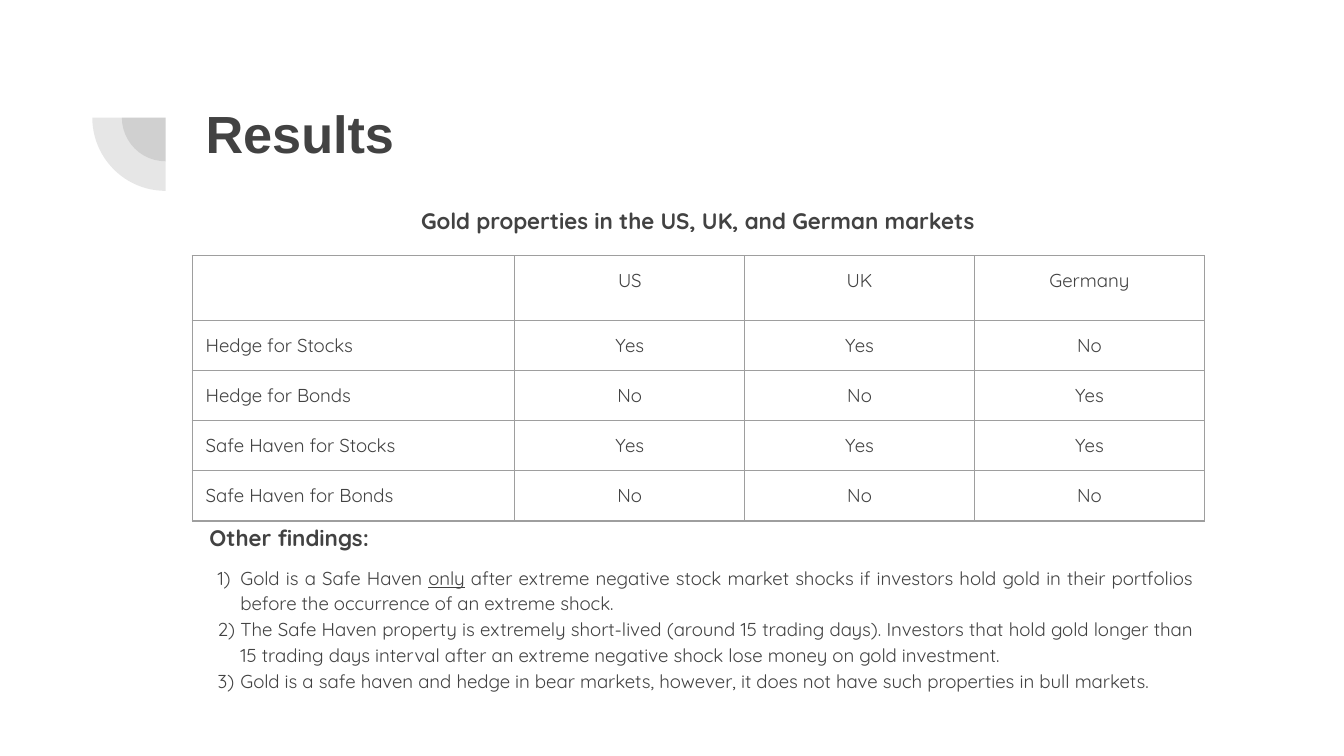
from lxml.etree import SubElement
from pptx import Presentation
from pptx.dml.color import RGBColor
from pptx.enum.shapes import MSO_SHAPE
from pptx.enum.text import MSO_AUTO_SIZE, PP_ALIGN
from pptx.oxml.ns import qn
from pptx.util import Pt

COLORS = {"ink": "424242", "border": "9E9E9E"}
BODY_FONT = "Quicksand"
INSET = 7.2

PROPERTIES = [
    ["", "US", "UK", "Germany"],
    ["Hedge for Stocks", "Yes", "Yes", "No"],
    ["Hedge for Bonds", "No", "No", "Yes"],
    ["Safe Haven for Stocks", "Yes", "Yes", "Yes"],
    ["Safe Haven for Bonds", "No", "No", "No"],
]
COLUMN_WIDTHS = [172.8] + [123.12] * 3
ROW_HEIGHTS = [34.56] + [26.8] * 4

FINDINGS = [
    [("Gold is a Safe Haven ", False), ("only", True),
     (" after extreme negative stock market shocks if investors hold gold in their "
      "portfolios before the occurrence of an extreme shock.", False)],
    [("The Safe Haven property is extremely short-lived (around 15 trading days). "
      "Investors that hold gold longer than 15 trading days interval after an extreme "
      "negative shock lose money on gold investment.", False)],
    [("Gold is a safe haven and hedge in bear markets, however, it does not have such "
      "properties in bull markets.", False)],
]


def add_run(paragraph, text, size=10, font=BODY_FONT, bold=False, underline=False):
    run = paragraph.add_run()
    run.text = text
    run.font.size = Pt(size)
    run.font.name = font
    run.font.bold = bold
    run.font.underline = underline
    run.font.color.rgb = RGBColor.from_string(COLORS["ink"])


def add_text_frame(slide, left, top, width, height):
    frame = slide.shapes.add_textbox(Pt(left), Pt(top), Pt(width), Pt(height)).text_frame
    frame.word_wrap = True
    frame.auto_size = MSO_AUTO_SIZE.NONE
    frame.margin_left = frame.margin_right = Pt(INSET)
    frame.margin_top = frame.margin_bottom = Pt(INSET)
    return frame


def add_heading(slide, text, box, align=PP_ALIGN.LEFT, **style):
    heading = add_text_frame(slide, *box).paragraphs[0]
    heading.alignment = align
    add_run(heading, text, bold=True, **style)


def add_quarter_disc(slide, center_x, center_y, radius):
    disc = slide.shapes.add_shape(
        MSO_SHAPE.PIE, Pt(center_x - radius), Pt(center_y - radius),
        Pt(2 * radius), Pt(2 * radius))
    disc.adjustments[0] = 108
    disc.adjustments[1] = 162
    disc.rotation = 270
    disc.shadow.inherit = False
    disc.line.fill.background()
    disc.fill.solid()
    disc.fill.fore_color.rgb = RGBColor.from_string(COLORS["ink"])
    color = disc.fill._xPr.find(qn("a:solidFill"))[0]
    SubElement(color, qn("a:alpha"), val="13000")


def set_borders(cell):
    properties = cell._tc.get_or_add_tcPr()
    for position, side in enumerate(("lnL", "lnR", "lnT", "lnB")):
        border = SubElement(properties, qn(f"a:{side}"), w=str(Pt(0.75)))
        fill = SubElement(border, qn("a:solidFill"))
        SubElement(fill, qn("a:srgbClr"), val=COLORS["border"])
        properties.insert(position, border)


def add_properties_table(slide, left, top):
    table = slide.shapes.add_table(
        len(ROW_HEIGHTS), len(COLUMN_WIDTHS), Pt(left), Pt(top),
        Pt(sum(COLUMN_WIDTHS)), Pt(sum(ROW_HEIGHTS))).table
    table.first_row = table.horz_banding = False
    for column, width in zip(table.columns, COLUMN_WIDTHS):
        column.width = Pt(width)
    for row, height, labels in zip(table.rows, ROW_HEIGHTS, PROPERTIES):
        row.height = Pt(height)
        for index, (cell, label) in enumerate(zip(row.cells, labels)):
            cell.margin_left = cell.margin_right = Pt(INSET)
            cell.margin_top = cell.margin_bottom = Pt(INSET)
            cell.fill.background()
            set_borders(cell)
            paragraph = cell.text_frame.paragraphs[0]
            paragraph.alignment = PP_ALIGN.CENTER if index else PP_ALIGN.LEFT
            paragraph.font.size = Pt(10)
            if label:
                add_run(paragraph, label)


def add_findings(slide, box):
    frame = add_text_frame(slide, *box)
    for index, finding in enumerate(FINDINGS):
        paragraph = frame.add_paragraph() if index else frame.paragraphs[0]
        paragraph.alignment = PP_ALIGN.JUSTIFY
        paragraph.line_spacing = 1.15
        properties = paragraph._p.get_or_add_pPr()
        properties.set("marL", str(Pt(21.6)))
        properties.set("indent", str(Pt(-12.24)))
        bullet_color = SubElement(properties, qn("a:buClr"))
        SubElement(bullet_color, qn("a:srgbClr"), val=COLORS["ink"])
        SubElement(properties, qn("a:buSzPts"), val="1000")
        SubElement(properties, qn("a:buFont"), typeface=BODY_FONT)
        SubElement(properties, qn("a:buAutoNum"), type="arabicParenR")
        for text, underline in finding:
            add_run(paragraph, text, underline=underline)


def main():
    presentation = Presentation()
    presentation.slide_width = Pt(720)
    presentation.slide_height = Pt(405)
    slide = presentation.slides.add_slide(presentation.slide_layouts[6])

    add_quarter_disc(slide, 88.7, 63, 23.4)
    add_quarter_disc(slide, 88.7, 63, 39.24)
    add_heading(slide, "Results", (103, 46.8, 553.7, 78.5), size=28, font="Arial")
    add_properties_table(slide, 103, 137)
    add_findings(slide, (100.1, 294.5, 545.8, 85))
    add_heading(slide, "Gold properties in the US, UK, and German markets",
                (176.4, 103.7, 395.3, 28.8), align=PP_ALIGN.CENTER, size=12)
    add_heading(slide, "Other findings:", (105.1, 273.6, 164.9, 28.8), size=12)

    presentation.save("out.pptx")


if __name__ == "__main__":
    main()
